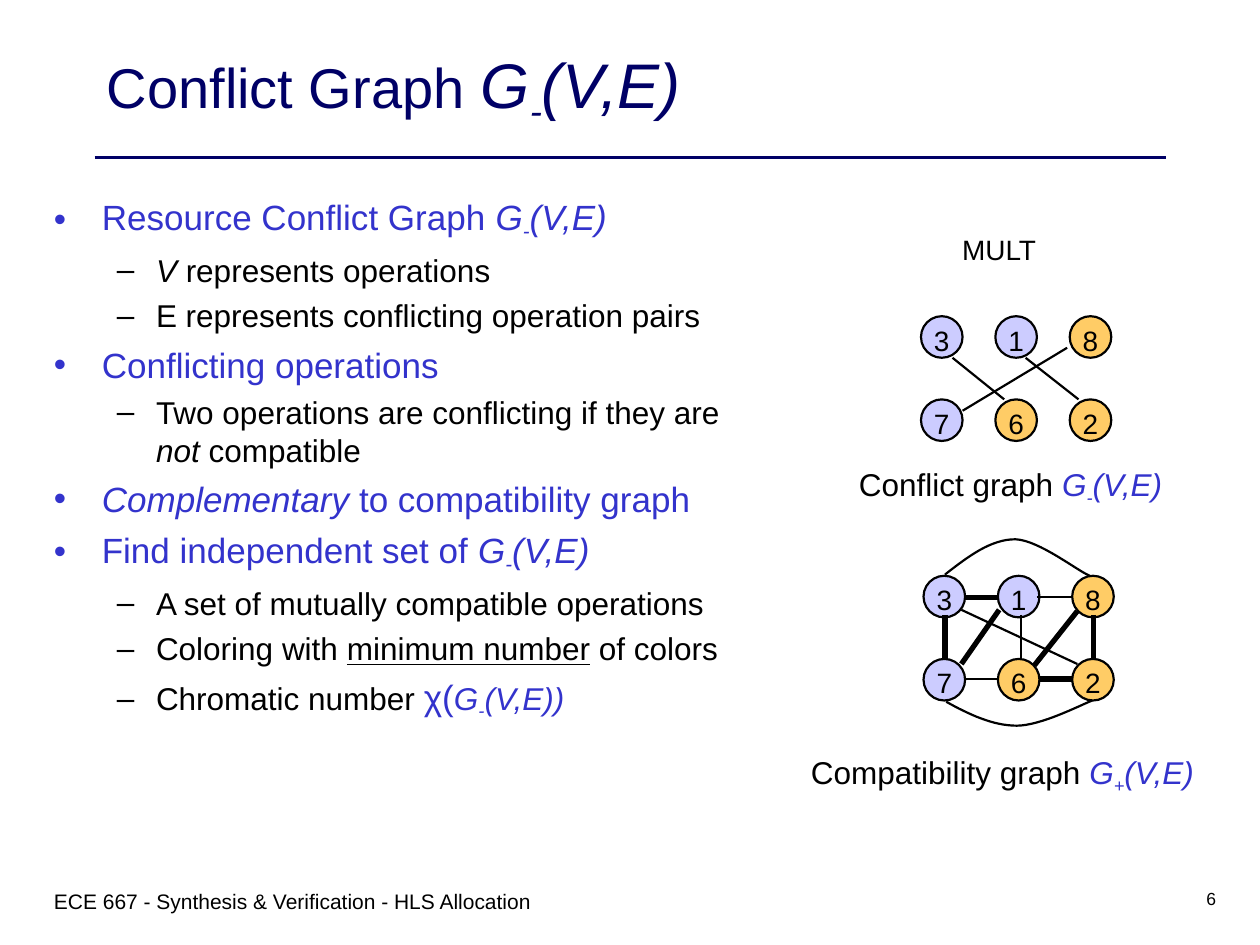
from lxml import etree
from pptx import Presentation
from pptx.dml.color import RGBColor
from pptx.enum.shapes import MSO_CONNECTOR, MSO_SHAPE
from pptx.enum.text import MSO_ANCHOR, PP_ALIGN
from pptx.oxml.ns import qn
from pptx.util import Inches, Pt

COLORS = {"navy": "000066", "blue": "3333CC", "black": "000000",
          "lilac": "CCCCFF", "orange": "FFCC66"}
FONT = "Arial"

# A span is plain text or (text, style); style keys: italic, underline, size, color, sub.
ITALIC = {"italic": True}
BLUE_ITALIC = {"italic": True, "color": "blue"}


def graph_name(sign, ending="(V,E)", **style):
    style = {**ITALIC, **style}
    return [("G", style), (sign, {**style, "sub": True}), (ending, style)]


TITLE = ["Conflict Graph ", *graph_name("-", size=36)]
BODY = [  # (level, spans)
    (0, ["Resource Conflict Graph ", *graph_name("-")]),
    (1, [("V ", ITALIC), "represents operations"]),
    (1, ["E represents conflicting operation pairs"]),
    (0, ["Conflicting operations"]),
    (1, ["Two operations are conflicting if they are ", ("not", ITALIC), " compatible"]),
    (0, [("Complementary", ITALIC), " to compatibility graph"]),
    (0, ["Find independent set of ", *graph_name("-")]),
    (1, ["A set of mutually compatible operations"]),
    (1, ["Coloring with ", ("minimum number", {"underline": True}), " of colors"]),
    (1, ["Chromatic number ", ("χ(", {"size": 20, "color": "blue"}),
         *graph_name("-", "(V,E))", color="blue")]),
]
LEVELS = [  # bullet, left margin, hanging indent, size, color, space before
    ("•", 0.38, 0.38, 20, "blue", 5),
    ("–", 0.81, 0.31, 18, "black", 4.5),
]
LABELS = [  # spans, left, top, width, height, size
    (["MULT"], 7.53, 1.8, 0.8, 0.37, 16),
    (["Conflict graph ", *graph_name("-", "(V,E) ", color="blue")],
     6.71, 3.64, 2.69, 0.44, 18),
    (["Compatibility graph ", *graph_name("+", "(V,E) ", color="blue")],
     6.33, 5.93, 3.32, 0.44, 18),
]

NODE_ROWS = [
    [("3", "lilac"), ("1", "lilac"), ("8", "orange")],
    [("7", "lilac"), ("6", "orange"), ("2", "orange")],
]
NODE_SIZE, COLUMN_STEP, ROW_STEP = 0.33, 0.59, 0.66
THIN, THICK = 1.25, 3
GRAPHS = [
    {"origin": (7.31, 2.51),
     "edges": [(7.56, 2.84, 7.97, 3.17, THIN), (8.14, 2.84, 8.56, 3.17, THIN),
               (8.47, 2.76, 7.64, 3.26, THIN)],
     "arcs": []},
    {"origin": (7.33, 4.57),
     "edges": [(7.65, 4.74, 7.92, 4.74, THICK), (7.5, 4.88, 7.5, 5.24, THICK),
               (7.65, 5.39, 7.91, 5.39, THIN), (8.1, 4.88, 8.1, 5.24, THIN),
               (8.68, 4.88, 8.68, 5.24, THICK), (8.23, 4.74, 8.5, 4.74, THIN),
               (8.25, 5.39, 8.51, 5.39, THICK), (7.93, 4.84, 7.63, 5.27, THICK),
               (8.55, 4.85, 8.21, 5.28, THICK), (7.63, 4.84, 8.55, 5.27, THIN)],
     # Two cubic Bézier pieces each, sharing the middle point
     "arcs": [[(7.5, 4.56), (7.68, 4.42), (7.86, 4.28), (8.06, 4.28),
               (8.25, 4.29), (8.55, 4.53), (8.65, 4.57)],
              [(7.51, 5.57), (7.69, 5.67), (7.88, 5.76), (8.07, 5.76),
               (8.26, 5.76), (8.57, 5.6), (8.67, 5.56)]]},
]


def rgb(name):
    return RGBColor.from_string(COLORS[name])


def write(para, spans, size, color="black"):
    para.font.name, para.font.size = FONT, Pt(size)
    para.font.color.rgb = rgb(color)
    for item in spans:
        text, style = (item, {}) if isinstance(item, str) else item
        span = para.add_run()
        span.text = text
        font = span.font
        font.name, font.size = FONT, Pt(style.get("size", size))
        font.color.rgb = rgb(style.get("color", color))
        font.italic, font.underline = style.get("italic"), style.get("underline")
        if style.get("sub"):
            span._r.get_or_add_rPr().set("baseline", "-25000")


def add_box(page, left, top, width, height, wrap=True):
    box = page.shapes.add_textbox(*map(Inches, (left, top, width, height)))
    box.text_frame.word_wrap = wrap
    return box.text_frame


def add_bullet(para, char, margin, hanging, color):
    props = para._p.get_or_add_pPr()
    props.set("marL", str(Inches(margin)))
    props.set("indent", str(-Inches(hanging)))
    tint = etree.SubElement(props, qn("a:buClr"))
    etree.SubElement(tint, qn("a:srgbClr")).set("val", COLORS[color])
    etree.SubElement(props, qn("a:buFont")).set("typeface", FONT)
    etree.SubElement(props, qn("a:buChar")).set("char", char)


def add_line(shapes, x1, y1, x2, y2, width, color="black"):
    line = shapes.add_connector(MSO_CONNECTOR.STRAIGHT, *map(Inches, (x1, y1, x2, y2)))
    line.line.color.rgb, line.line.width = rgb(color), Pt(width)
    etree.SubElement(line._element.spPr, qn("a:effectLst"))


def add_node(shapes, label, color, left, top):
    node = shapes.add_shape(MSO_SHAPE.OVAL, *map(Inches, (left, top, NODE_SIZE, NODE_SIZE)))
    node.shadow.inherit = False
    node.fill.solid()
    node.fill.fore_color.rgb = rgb(color)
    node.line.color.rgb, node.line.width = rgb("black"), Pt(THIN)
    frame = node.text_frame
    frame.word_wrap = False
    frame.margin_left = frame.margin_right = frame.margin_bottom = 0
    frame.margin_top = Inches(0.05)
    frame.vertical_anchor = MSO_ANCHOR.MIDDLE
    para = frame.paragraphs[0]
    para.alignment = PP_ALIGN.CENTER
    write(para, [label], 16)


def curve_points(controls, steps=16):
    """Sample a chain of cubic Bézier pieces."""
    points = [controls[0]]
    for first in range(0, len(controls) - 1, 3):
        piece = controls[first:first + 4]
        for step in range(1, steps + 1):
            t = step / steps
            weights = ((1 - t) ** 3, 3 * t * (1 - t) ** 2, 3 * t * t * (1 - t), t ** 3)
            points.append(tuple(sum(w * p[axis] for w, p in zip(weights, piece))
                                for axis in (0, 1)))
    return points


def add_arc(shapes, controls):
    start, *rest = [(Inches(x), Inches(y)) for x, y in curve_points(controls)]
    builder = shapes.build_freeform(*start)
    builder.add_line_segments(rest, close=False)
    arc = builder.convert_to_shape()
    arc.shadow.inherit = False
    arc.fill.background()
    arc.line.color.rgb, arc.line.width = rgb("black"), Pt(THIN)


def add_graph(page, graph):
    shapes = page.shapes.add_group_shape().shapes
    left, top = graph["origin"]
    for row, nodes in enumerate(NODE_ROWS):
        for column, (label, color) in enumerate(nodes):
            add_node(shapes, label, color, left + column * COLUMN_STEP, top + row * ROW_STEP)
    for controls in graph["arcs"]:
        add_arc(shapes, controls)
    for edge in graph["edges"]:
        add_line(shapes, *edge)


def main():
    deck = Presentation()
    deck.slide_width, deck.slide_height = Inches(10), Inches(7.5)
    page = deck.slides.add_slide(deck.slide_layouts[6])

    add_line(page.shapes, 0.75, 1.25, 9.25, 1.25, 2.25, "navy")
    write(add_box(page, 0.33, 7, 4.5, 0.5).paragraphs[0],
          ["ECE 667 - Synthesis & Verification - HLS Allocation"], 12)
    number = add_box(page, 7.67, 7, 2.08, 0.5).paragraphs[0]
    number.alignment = PP_ALIGN.RIGHT
    write(number, ["6"], 10)

    title = add_box(page, 0.75, 0.33, 8.5, 0.75)
    title.vertical_anchor = MSO_ANCHOR.MIDDLE
    write(title.paragraphs[0], TITLE, 32, "navy")

    body = add_box(page, 0.33, 1.5, 5.81, 5)
    for index, (level, spans) in enumerate(BODY):
        char, margin, hanging, size, color, before = LEVELS[level]
        para = body.add_paragraph() if index else body.paragraphs[0]
        para.level = level
        add_bullet(para, char, margin, hanging, color)
        if index:
            para.space_before = Pt(before)
        write(para, spans, size, color)

    for graph in GRAPHS:
        add_graph(page, graph)
    for spans, left, top, width, height, size in LABELS:
        para = add_box(page, left, top, width, height, wrap=False).paragraphs[0]
        para.alignment = PP_ALIGN.CENTER
        write(para, spans, size)

    deck.save("out.pptx")


if __name__ == "__main__":
    main()
